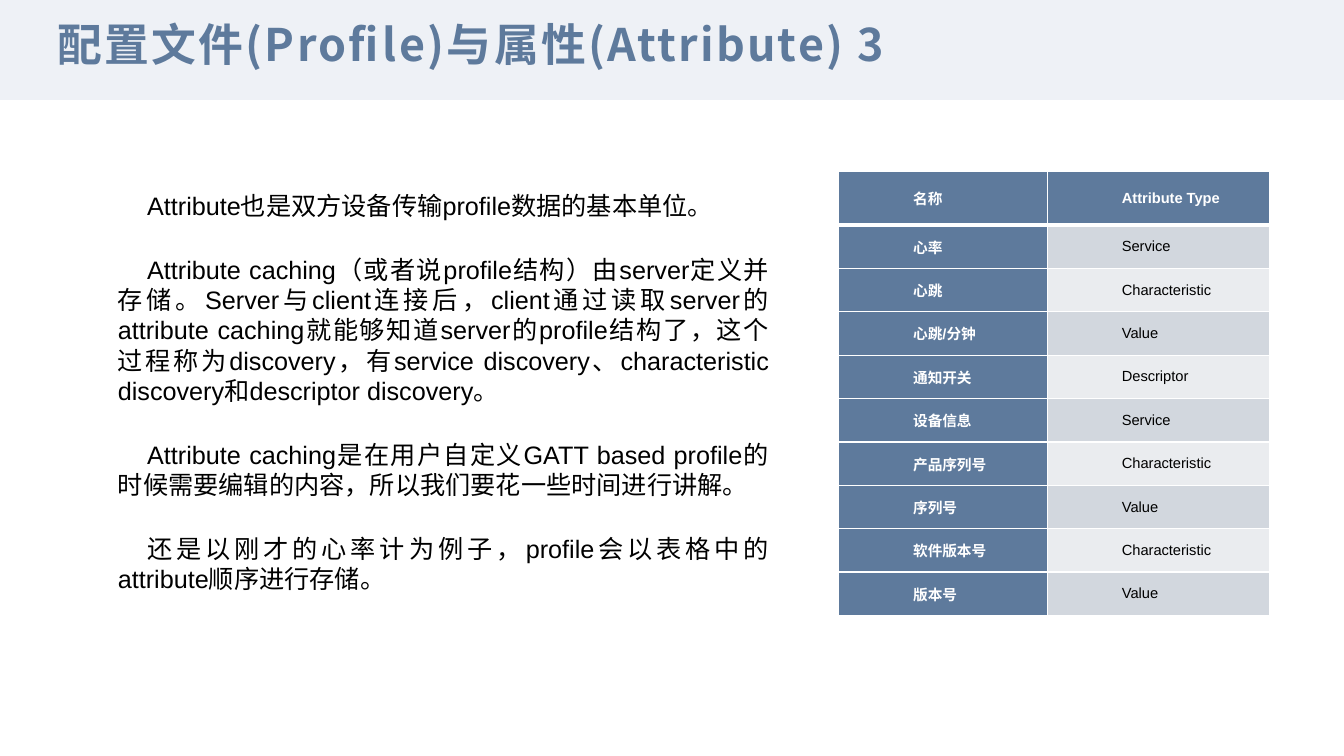
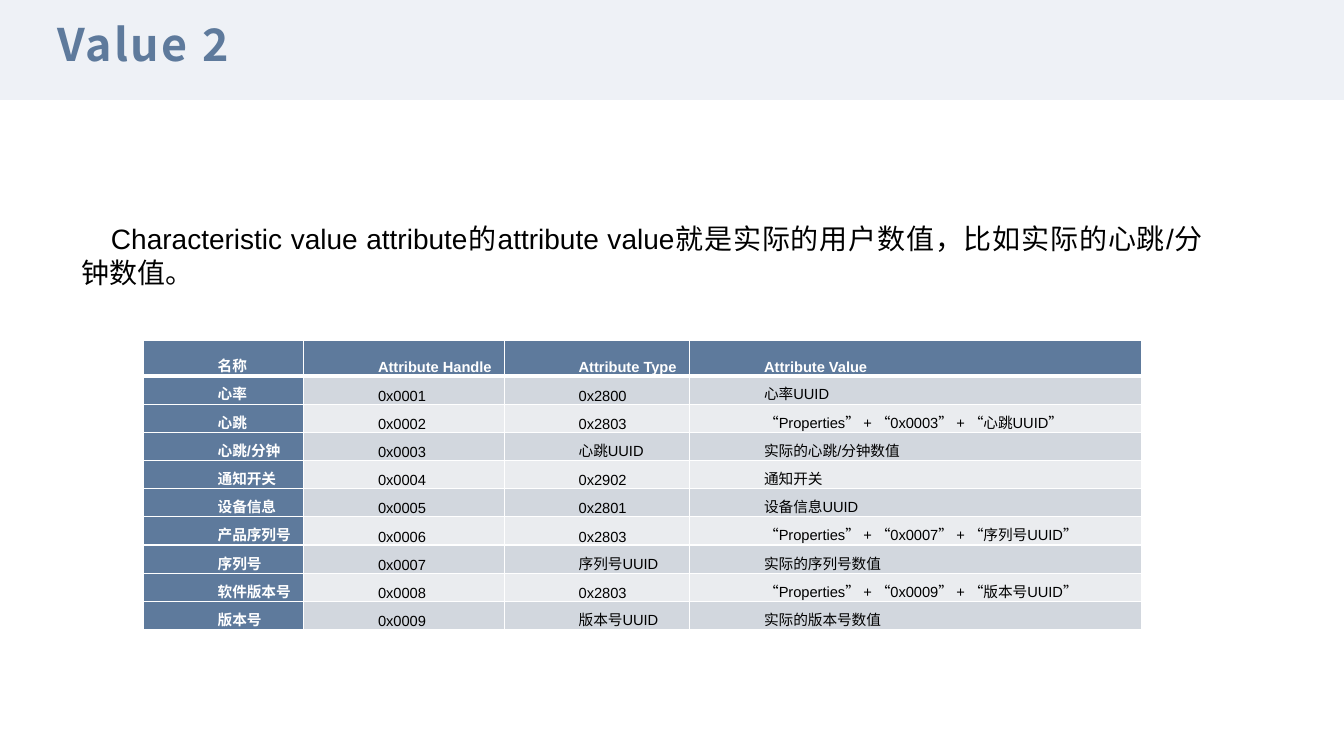
from lxml import etree
from pptx import Presentation
from pptx.dml.color import RGBColor
from pptx.enum.shapes import MSO_SHAPE
from pptx.enum.text import MSO_ANCHOR, MSO_AUTO_SIZE, PP_ALIGN
from pptx.oxml.ns import qn
from pptx.util import Inches, Pt

RECTANGLE = MSO_SHAPE.RECTANGLE
TOP, MIDDLE, BOTTOM = MSO_ANCHOR.TOP, MSO_ANCHOR.MIDDLE, MSO_ANCHOR.BOTTOM
LEFT, JUSTIFY = PP_ALIGN.LEFT, PP_ALIGN.JUSTIFY
NO_FIT = MSO_AUTO_SIZE.NONE

COLOURS = {
    "band": "EEF1F6",
    "accent": "5E7A9C",
    "odd_row": "D2D7DE",
    "even_row": "EAECEF",
    "text": "000000",
    "white": "FFFFFF",
}
LATIN_FONT = "Arial"
CJK_FONT = "Noto Sans CJK SC"
TITLE_AND_CONTENT = 1
GRID = 100
BODY_INDENT = Inches(0.29)
CELL_INDENT = Inches(0.67)


def colour(key):
    """Return the named palette colour."""
    return RGBColor.from_string(COLOURS[key])


class Deck:
    """Holds the deck style and the current slide on a 100 by 100 grid."""

    def __init__(self):
        """Start a widescreen deck."""
        self.prs = Presentation()
        self.prs.slide_width = Inches(13.333)
        self.prs.slide_height = Inches(7.5)
        self.slide = None

    def x(self, columns):
        """Convert grid columns to a length."""
        return round(self.prs.slide_width * columns / GRID)

    def y(self, rows):
        """Convert grid rows to a length."""
        return round(self.prs.slide_height * rows / GRID)

    def box(self, left, top, width, height):
        """Convert a grid box to lengths."""
        return self.x(left), self.y(top), self.x(width), self.y(height)

    def place(self, holder, box, anchor):
        """Move a placeholder and return its text frame."""
        holder.left, holder.top, holder.width, holder.height = self.box(*box)
        frame = holder.text_frame
        frame.word_wrap = True
        frame.auto_size = NO_FIT
        frame.vertical_anchor = anchor
        return frame

    def add_run(self, paragraph, text, size, ink, bold=False, latin=LATIN_FONT, tracking=0):
        """Add one formatted run."""
        run = paragraph.add_run()
        run.text = text
        font = run.font
        font.size = Pt(size)
        font.bold = bold
        font.name = latin
        font.color.rgb = colour(ink)
        properties = run._r.get_or_add_rPr()
        properties.set("lang", "zh-CN")
        if tracking:
            properties.set("spc", str(round(tracking * 100)))
        etree.SubElement(properties, qn("a:ea")).set("typeface", CJK_FONT)

    def indent(self, paragraph, first_line):
        """Justify a paragraph and indent its first line."""
        paragraph.alignment = JUSTIFY
        properties = paragraph._p.get_or_add_pPr()
        properties.set("marL", "0")
        properties.set("indent", str(first_line))
        etree.SubElement(properties, qn("a:buNone"))

    def new_slide(self, title):
        """Add a slide with the heading band and title."""
        layout = self.prs.slide_layouts[TITLE_AND_CONTENT]
        self.slide = self.prs.slides.add_slide(layout)
        shapes = self.slide.shapes
        band = shapes.add_shape(RECTANGLE, *self.box(0, 0, GRID, 13.2))
        band.shadow.inherit = False
        band.fill.solid()
        band.fill.fore_color.rgb = colour("band")
        band.line.fill.background()
        shapes._spTree.insert(2, band._element)
        frame = self.place(shapes.title, (3.75, 1.33, 92.5, 8.93), MIDDLE)
        frame.margin_left = frame.margin_right = Inches(0.07)
        frame.margin_top = frame.margin_bottom = Inches(0.03)
        heading = frame.paragraphs[0]
        heading.alignment = LEFT
        self.add_run(heading, title, 32, "accent", True, CJK_FONT, 1.6)

    def body(self, box, texts, size):
        """Fill the body placeholder with justified paragraphs."""
        frame = self.place(self.slide.placeholders[1], box, TOP)
        for number, text in enumerate(texts):
            paragraph = frame.add_paragraph() if number else frame.paragraphs[0]
            self.indent(paragraph, BODY_INDENT)
            paragraph.space_before = Pt(12 if number else 0)
            paragraph.space_after = Pt(12)
            paragraph.line_spacing = Pt(size * 1.2)
            self.add_run(paragraph, text, size, "text")

    def borders(self, cell, top, bottom):
        """Draw white cell borders, with widths in points."""
        properties = cell._tc.get_or_add_tcPr()
        widths = {"a:lnL": 1, "a:lnR": 1, "a:lnT": top, "a:lnB": bottom}
        for position, (tag, width) in enumerate(widths.items()):
            line = etree.Element(qn(tag), w=str(Pt(width)))
            fill = etree.SubElement(line, qn("a:solidFill"))
            etree.SubElement(fill, qn("a:srgbClr")).set("val", COLOURS["white"])
            properties.insert(position, line)

    def table(self, left, top, columns, header_height, row_height, records, anchor):
        """Add a table with an accented first row and first column."""
        heights = [header_height] + [row_height] * (len(records) - 1)
        box = self.box(left, top, sum(columns), sum(heights))
        table = self.slide.shapes.add_table(len(records), len(columns), *box).table
        table.horz_banding = False
        for column, width in zip(table.columns, columns):
            column.width = self.x(width)
        for r, (record, height) in enumerate(zip(records, heights)):
            table.rows[r].height = self.y(height)
            for c, text in enumerate(record):
                cell = table.cell(r, c)
                accented = r == 0 or c == 0
                stripe = "odd_row" if r % 2 else "even_row"
                cell.fill.solid()
                cell.fill.fore_color.rgb = colour("accent" if accented else stripe)
                cell.vertical_anchor = anchor
                cell.margin_left = cell.margin_right = Inches(0.07)
                cell.margin_top = cell.margin_bottom = 0
                paragraph = cell.text_frame.paragraphs[0]
                self.indent(paragraph, CELL_INDENT)
                if text.startswith("“"):
                    paragraph.alignment = LEFT
                self.add_run(paragraph, text, 10.5, "white" if accented else "text", accented)
                self.borders(cell, 3 if r == 1 else 1, 3 if r == 0 else 1)


PROFILE_NOTES = [
    "Attribute也是双方设备传输profile数据的基本单位。",
    "Attribute caching（或者说profile结构）由server定义并存储。Server与client连接后，"
    "client通过读取server的attribute caching就能够知道server的profile结构了，"
    "这个过程称为discovery，有service discovery、characteristic discovery和"
    "descriptor discovery。",
    "Attribute caching是在用户自定义GATT based profile的时候需要编辑的内容，"
    "所以我们要花一些时间进行讲解。",
    "还是以刚才的心率计为例子，profile会以表格中的attribute顺序进行存储。",
]
VALUE_NOTES = [
    "Characteristic value attribute的attribute value就是实际的用户数值，"
    "比如实际的心跳/分钟数值。",
]
ATTRIBUTES = [
    ("心率", "Service", "0x2800", "心率UUID"),
    ("心跳", "Characteristic", "0x2803", "“Properties” + “0x0003” + “心跳UUID”"),
    ("心跳/分钟", "Value", "心跳UUID", "实际的心跳/分钟数值"),
    ("通知开关", "Descriptor", "0x2902", "通知开关"),
    ("设备信息", "Service", "0x2801", "设备信息UUID"),
    ("产品序列号", "Characteristic", "0x2803", "“Properties” + “0x0007” + “序列号UUID”"),
    ("序列号", "Value", "序列号UUID", "实际的序列号数值"),
    ("软件版本号", "Characteristic", "0x2803", "“Properties” + “0x0009” + “版本号UUID”"),
    ("版本号", "Value", "版本号UUID", "实际的版本号数值"),
]


def main():
    """Build and save both slides."""
    deck = Deck()

    deck.new_slide("配置文件(Profile)与属性(Attribute) 3")
    deck.body((8.02, 24.53, 49.95, 55.2), PROFILE_NOTES, 18)
    roles = [("名称", "Attribute Type")]
    roles += [(name, role) for name, role, _, _ in ATTRIBUTES]
    deck.table(62.4, 22.67, [15.53, 16.57], 7.1, 5.74, roles, MIDDLE)

    deck.new_slide("Value 2")
    deck.body((5.33, 28.67, 84.9, 10.27), VALUE_NOTES, 20)
    values = [("名称", "Attribute Handle", "Attribute Type", "Attribute Value")]
    values += [
        (name, f"0x{handle:04}", kind, value)
        for handle, (name, _, kind, value) in enumerate(ATTRIBUTES, 1)
    ]
    deck.table(10.65, 45.07, [11.93, 14.93, 13.8, 33.67], 4.67, 3.73, values, BOTTOM)

    deck.prs.save("out.pptx")


if __name__ == "__main__":
    main()
